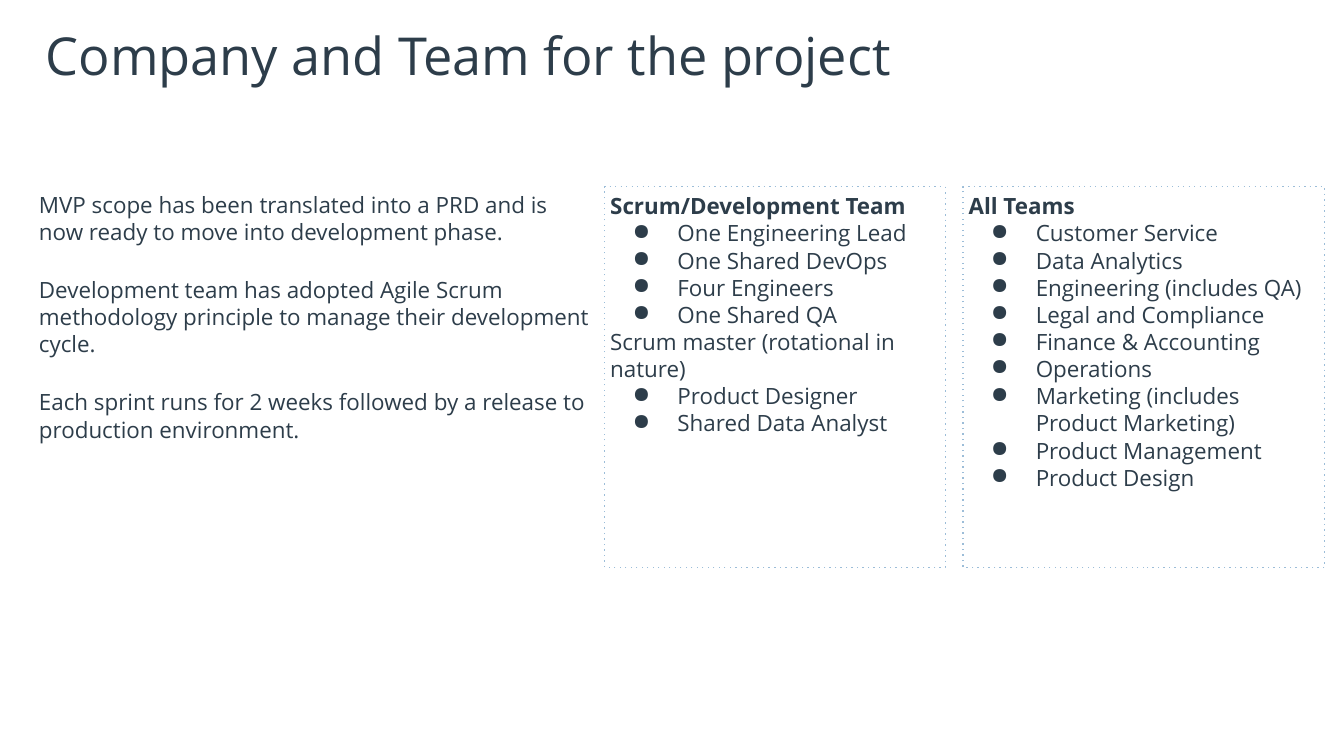
import dataclasses

import pptx
import pptx.dml.color
import pptx.enum.dml
import pptx.enum.shapes
import pptx.enum.text
import pptx.oxml.ns
import pptx.util
from lxml import etree

Pt = pptx.util.Pt
qn = pptx.oxml.ns.qn


@dataclasses.dataclass(frozen=True)
class Theme:
    """Colours, type sizes and spacing of the slide."""
    font: str = "Open Sans"
    ink: str = "2D3D4A"
    border: str = "9CBDD8"
    title_size: int = 28
    body_size: int = 12
    title_spacing: float = 0.95
    body_spacing: float = 1.01
    paragraph_gap: float = 16.5
    inset: float = 2.88
    indent: int = 36
    hanging: int = 24


THEME = Theme()
TITLE = "Company and Team for the project"
INTRODUCTION = [
    "MVP scope has been translated into a PRD and is now ready to move into development phase.",
    "Development team has adopted Agile Scrum methodology principle to manage their development cycle.",
    "Each sprint runs for 2 weeks followed by a release to production environment.",
]
SCRUM_TEAM = [
    ("Scrum/Development Team", "heading"),
    ("One Engineering Lead", "bullet"),
    ("One Shared DevOps", "bullet"),
    ("Four Engineers", "bullet"),
    ("One Shared QA", "bullet"),
    ("Scrum master (rotational in nature)", "plain"),
    ("Product Designer", "bullet"),
    ("Shared Data Analyst", "bullet"),
]
ALL_TEAMS = [("All Teams", "heading")] + [(team, "bullet") for team in (
    "Customer Service", "Data Analytics", "Engineering (includes QA)",
    "Legal and Compliance", "Finance & Accounting", "Operations",
    "Marketing (includes Product Marketing)", "Product Management", "Product Design",
)]


def colour(value):
    """Turn a hex string into a colour."""
    return pptx.dml.color.RGBColor.from_string(value)


def prepare_frame(shape):
    """Set wrapping, anchor and insets, and return the text frame."""
    frame = shape.text_frame
    frame.word_wrap = True
    frame.auto_size = pptx.enum.text.MSO_AUTO_SIZE.NONE
    frame.vertical_anchor = pptx.enum.text.MSO_ANCHOR.TOP
    frame.margin_left = frame.margin_right = Pt(THEME.inset)
    frame.margin_top = frame.margin_bottom = Pt(THEME.inset)
    return frame


def format_paragraph(para, size, spacing, bold=False):
    """Align a paragraph left and format its runs."""
    para.alignment = pptx.enum.text.PP_ALIGN.LEFT
    para.line_spacing = spacing
    for span in para.runs:
        span.font.name = THEME.font
        span.font.size = Pt(size)
        span.font.bold = bold
        span.font.color.rgb = colour(THEME.ink)


def add_bullet(para):
    """Give a paragraph a round bullet and a hanging indent."""
    properties = para._p.get_or_add_pPr()
    properties.set("marL", str(Pt(THEME.indent)))
    properties.set("indent", str(-Pt(THEME.hanging)))
    tint = etree.SubElement(properties, qn("a:buClr"))
    etree.SubElement(tint, qn("a:srgbClr"), val=THEME.ink)
    etree.SubElement(properties, qn("a:buChar"), char="●")


def place_title(page, left, top, width, height):
    """Move and format the title placeholder."""
    title = page.shapes.title
    title.left, title.top, title.width, title.height = map(Pt, (left, top, width, height))
    frame = prepare_frame(title)
    frame.text = TITLE
    format_paragraph(frame.paragraphs[0], THEME.title_size, THEME.title_spacing)


def place_introduction(page, left, top, width, height):
    """Add the introductory paragraphs."""
    box = page.shapes.add_textbox(*map(Pt, (left, top, width, height)))
    frame = prepare_frame(box)
    frame.text = "\n".join(INTRODUCTION)
    for para in frame.paragraphs:
        format_paragraph(para, THEME.body_size, THEME.body_spacing)
        para.space_after = Pt(THEME.paragraph_gap)


def place_team(page, entries, left, top, width, height):
    """Add a dotted box that lists a team."""
    box = page.shapes.add_shape(
        pptx.enum.shapes.MSO_SHAPE.RECTANGLE, *map(Pt, (left, top, width, height)))
    box.shadow.inherit = False
    box.fill.background()
    box.line.color.rgb = colour(THEME.border)
    box.line.width = Pt(0.75)
    box.line.dash_style = pptx.enum.dml.MSO_LINE.ROUND_DOT
    box.element.spPr.find(".//" + qn("a:prstDash")).set("val", "dot")
    frame = prepare_frame(box)
    frame.text = "\n".join(text for text, _ in entries)
    for para, (_, style) in zip(frame.paragraphs, entries):
        format_paragraph(para, THEME.body_size, THEME.body_spacing, style == "heading")
        if style == "bullet":
            add_bullet(para)


def main():
    """Build the slide and save the deck."""
    deck = pptx.Presentation()
    deck.slide_width, deck.slide_height = Pt(720), Pt(405)
    page = deck.slides.add_slide(deck.slide_layouts[5])
    place_title(page, 21.6, 12.24, 686, 46.8)
    place_introduction(page, 18, 99.4, 302.4, 200)
    place_team(page, SCRUM_TEAM, 324, 100, 182.4, 204)
    place_team(page, ALL_TEAMS, 516, 100, 193.7, 204)
    deck.save("out.pptx")


if __name__ == "__main__":
    main()
